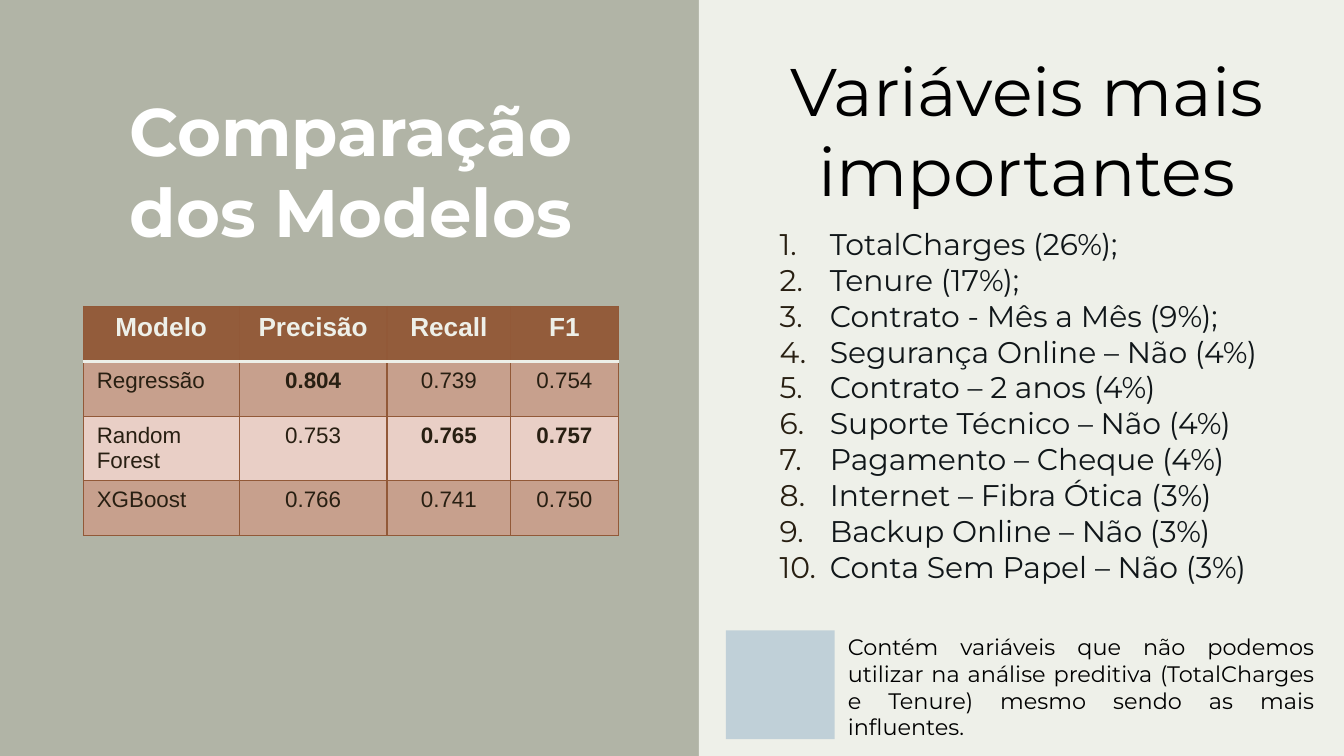
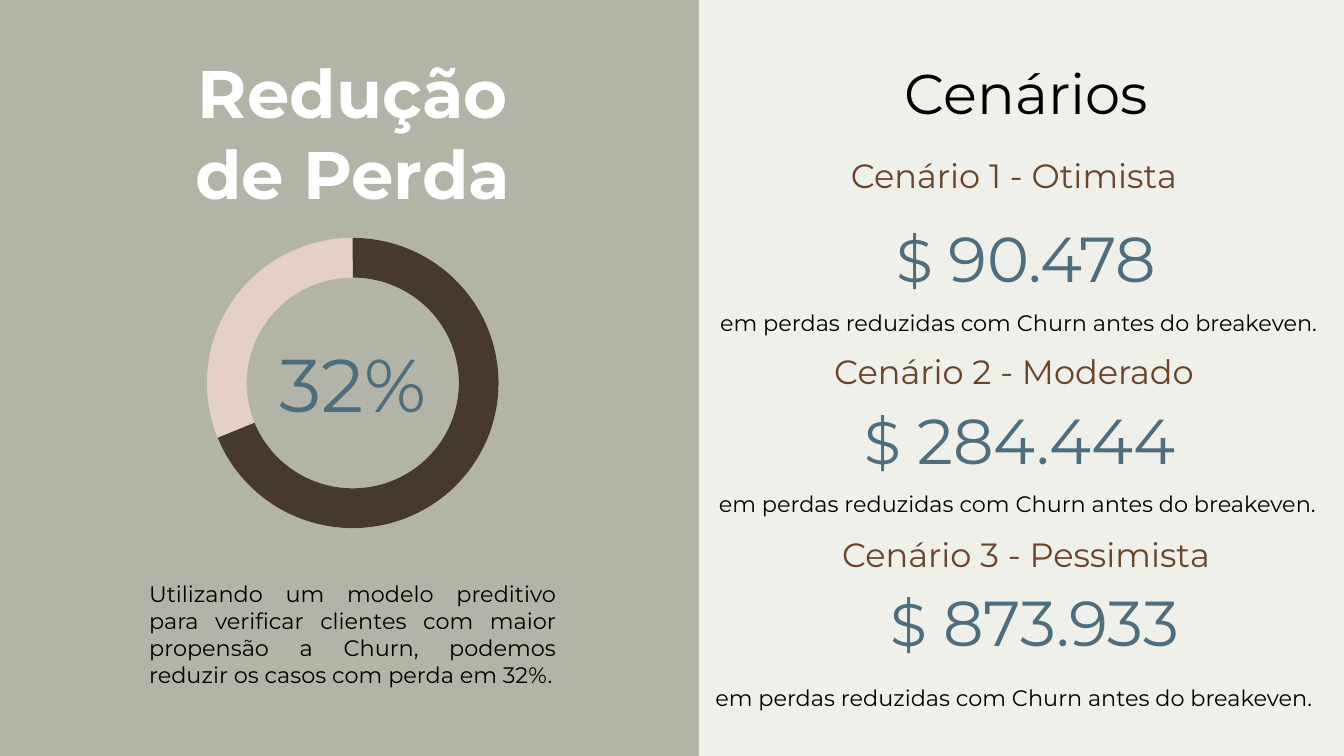
"""Builds two split-panel slides: model comparison and loss reduction."""
from lxml import etree
from pptx import Presentation
from pptx.dml.color import RGBColor
from pptx.enum.shapes import MSO_SHAPE
from pptx.enum.text import MSO_ANCHOR, MSO_AUTO_SIZE, PP_ALIGN
from pptx.oxml.ns import qn
from pptx.util import Inches, Pt

CENTER, JUSTIFY, LEFT = PP_ALIGN.CENTER, PP_ALIGN.JUSTIFY, PP_ALIGN.LEFT
TOP, MIDDLE = MSO_ANCHOR.TOP, MSO_ANCHOR.MIDDLE
RECTANGLE, DONUT, ARC = MSO_SHAPE.RECTANGLE, MSO_SHAPE.DONUT, MSO_SHAPE.BLOCK_ARC

WIDTH = 10
HEIGHT = WIDTH * 9 / 16
PANEL_LEFT = 0.52 * WIDTH
SAGE, CREAM, WHITE, BLACK = "B1B4A6", "EEF0E9", "FFFFFF", "000000"
BROWN, DARK, INK, STEEL = "935C3B", "281F12", "101619", "4E6E7E"
ROSE, UMBER, SKY, RUST = "E4CFCB", "48392E", "C0D0D8", "6B432A"
BORDER, BANDS = "925938", ("C7A08D", "E9CFC6")
HEADING_FONT, TABLE_FONT = "Montserrat", "Arial"

TITLE = dict(size=36, color=WHITE, bold=True, align=CENTER, anchor=MIDDLE)
HEADING = dict(size=36, color=BLACK, align=CENTER, anchor=MIDDLE)
NOTE = dict(size=12, color=BLACK, align=JUSTIFY, anchor=TOP)
LIST = dict(size=16, color=INK, align=JUSTIFY, anchor=TOP)
AMOUNT = dict(size=32, color=STEEL, align=CENTER, anchor=MIDDLE)
SCENARIO = dict(size=18, color=RUST, align=CENTER, anchor=MIDDLE)

MODELS = [
    ("Modelo", "Precisão", "Recall", "F1"),
    ("Regressão", "0.804", "0.739", "0.754"),
    ("Random\nForest", "0.753", "0.765", "0.757"),
    ("XGBoost", "0.766", "0.741", "0.750"),
]
BEST = {"0.804", "0.765", "0.757"}
COLUMN_WIDTHS, ROW_HEIGHT = (1.16, 1.1, 0.92, 0.8), 0.41

VARIABLES = [
    "TotalCharges (26%);",
    "Tenure (17%);",
    "Contrato - Mês a Mês (9%);",
    "Segurança Online – Não (4%)",
    "Contrato – 2 anos (4%)",
    "Suporte Técnico – Não (4%)",
    "Pagamento – Cheque (4%)",
    "Internet – Fibra Ótica (3%)",
    "Backup Online – Não (3%)",
    "Conta Sem Papel – Não (3%)",
]
WARNING = ("Contém variáveis que não podemos utilizar na análise preditiva "
           "(TotalCharges e Tenure) mesmo sendo as mais influentes.")
SUMMARY = ("Utilizando um modelo preditivo para verificar clientes com maior "
           "propensão a Churn, podemos reduzir os casos com perda em 32%.")
SCENARIO_NOTE = "em perdas reduzidas com Churn antes do breakeven."
SCENARIOS = [
    dict(name="Cenário 1 - Otimista", name_at=(5.82, 1.1), amount="90.478",
         amount_at=(6.39, 1.61, 2.49, 0.6), note_at=(5.26, 2.2), align=JUSTIFY),
    dict(name="Cenário 2 - Moderado", name_at=(5.82, 2.56), amount="284.444",
         amount_at=(6.3, 2.97, 2.58, 0.6), note_at=(5.25, 3.55), align=JUSTIFY),
    dict(name="Cenário 3 - Pessimista", name_at=(5.91, 3.92), amount="873.933",
         amount_at=(6.44, 4.32, 2.52, 0.6), note_at=(5.17, 4.99), align=CENTER),
]
RING_BOX, RING_THICKNESS = (1.54, 1.77, 2.17, 2.16), 0.137
ARC_START, ARC_END = 270, 157.93
ANGLE_UNIT = 0.6


def rgb(value):
    """Turn a hex string into a colour."""
    return RGBColor.from_string(value)


def inches(box):
    """Turn a box of numbers into lengths."""
    return [Inches(length) for length in box]


def style_run(run, size, color, bold=False, font=HEADING_FONT):
    """Format one run."""
    run.font.name, run.font.size, run.font.bold = font, Pt(size), bold
    run.font.color.rgb = rgb(color)


def write(shape, box, lines, size, color, align, anchor, bold=False):
    """Place a text shape and fill it with formatted paragraphs."""
    shape.left, shape.top, shape.width, shape.height = inches(box)
    frame = shape.text_frame
    frame.text = "\n".join(lines)
    frame.word_wrap, frame.auto_size = True, MSO_AUTO_SIZE.NONE
    frame.vertical_anchor = anchor
    frame.margin_left = frame.margin_right = Inches(0.1)
    frame.margin_top = frame.margin_bottom = Inches(0.1)
    for paragraph in frame.paragraphs:
        paragraph.alignment = align
        paragraph.space_before = Pt(0)
        for run in paragraph.runs:
            style_run(run, size, color, bold)
    return shape


def add_text(slide, box, text, style):
    """Add a text box in a named style."""
    return write(slide.shapes.add_textbox(*inches(box)), box, [text], **style)


def add_block(shapes, kind, box, color):
    """Add a flat shape without outline."""
    shape = shapes.add_shape(kind, *inches(box))
    shape.shadow.inherit = False
    shape.fill.solid()
    shape.fill.fore_color.rgb = rgb(color)
    shape.line.fill.background()
    return shape


def set_bullets(shape, numbered):
    """Number the paragraphs or clear their bullets."""
    for paragraph in shape.text_frame.paragraphs:
        properties = paragraph._p.get_or_add_pPr()
        indent = Pt(27) if numbered else 0
        properties.set("marL", str(indent))
        properties.set("indent", str(-indent))
        if numbered:
            color = etree.SubElement(properties, qn("a:buClr"))
            etree.SubElement(color, qn("a:srgbClr"), val=DARK)
            etree.SubElement(properties, qn("a:buAutoNum"), type="arabicPeriod")
        else:
            etree.SubElement(properties, qn("a:buNone"))


def set_borders(cell, header, below_header):
    """Draw the four borders of a cell."""
    properties = cell._tc.get_or_add_tcPr()
    for position, side in enumerate("LRTB"):
        rule = (header and side == "B") or (below_header and side == "T")
        color, width = (CREAM, 2) if rule else (BORDER, 0.75)
        line = etree.Element(qn(f"a:ln{side}"), w=str(Pt(width)))
        fill = etree.SubElement(line, qn("a:solidFill"))
        etree.SubElement(fill, qn("a:srgbClr"), val=color)
        properties.insert(position, line)


def add_model_table(slide):
    """Add the table of model scores."""
    box = (0.62, 2.28, sum(COLUMN_WIDTHS), ROW_HEIGHT * len(MODELS))
    table = slide.shapes.add_table(
        len(MODELS), len(COLUMN_WIDTHS), *inches(box)).table
    for column, width in zip(table.columns, COLUMN_WIDTHS):
        column.width = Inches(width)
    for row, values in enumerate(MODELS):
        table.rows[row].height = Inches(ROW_HEIGHT)
        header = row == 0
        for column, value in enumerate(values):
            cell = table.cell(row, column)
            cell.text_frame.text = value
            cell.fill.solid()
            cell.fill.fore_color.rgb = rgb(BROWN if header else BANDS[(row - 1) % 2])
            set_borders(cell, header, row == 1)
            for paragraph in cell.text_frame.paragraphs:
                paragraph.alignment = CENTER if header or column else LEFT
                for run in paragraph.runs:
                    style_run(run, 14 if header else 12, CREAM if header else DARK,
                              header or value in BEST, TABLE_FONT)


def add_split_slide(presentation, title, title_box, body, body_box, body_style,
                    numbered=False):
    """Add a slide with the cream panel, the title and the body."""
    slide = presentation.slides.add_slide(presentation.slide_layouts[1])
    panel_box = (PANEL_LEFT, 0, WIDTH - PANEL_LEFT, HEIGHT)
    panel = add_block(slide.shapes, RECTANGLE, panel_box, CREAM)
    slide.shapes.title.element.addprevious(panel.element)
    write(slide.shapes.title, title_box, [title], **TITLE)
    set_bullets(write(slide.placeholders[1], body_box, body, **body_style), numbered)
    return slide


def build_models(presentation):
    """Build the model comparison slide."""
    slide = add_split_slide(
        presentation, "Comparação dos Modelos", (0.62, 0.65, 3.98, 1.23),
        VARIABLES, (5.7, 1.58, 3.89, 2.95), LIST, numbered=True)
    add_text(slide, (5.57, 0.35, 4.14, 1.23), "Variáveis mais importantes", HEADING)
    add_model_table(slide)
    add_text(slide, (6.21, 4.61, 3.67, 0.95), WARNING, NOTE)
    add_block(slide.shapes, RECTANGLE, (5.4, 4.69, 0.81, 0.81), SKY)


def build_reduction(presentation):
    """Build the loss reduction slide."""
    slide = add_split_slide(
        presentation, "Redução de Perda", (1.29, 0.37, 2.67, 1.23),
        [SUMMARY], (1.01, 4.22, 3.23, 0.59), NOTE)
    ring = slide.shapes.add_group_shape().shapes
    add_block(ring, DONUT, RING_BOX, ROSE).adjustments[0] = RING_THICKNESS
    arc = add_block(ring, ARC, RING_BOX, UMBER)
    arc.adjustments[0] = ARC_START * ANGLE_UNIT
    arc.adjustments[1] = ARC_END * ANGLE_UNIT
    arc.adjustments[2] = RING_THICKNESS
    add_text(slide, (1.38, 2.55, 2.49, 0.6), "32%", {**AMOUNT, "size": 40})
    add_text(slide, (5.91, 0.07, 3.45, 1.23), "Cenários", {**HEADING, "size": 30})
    for scenario in SCENARIOS:
        add_text(slide, (*scenario["name_at"], 3.45, 0.4), scenario["name"], SCENARIO)
        amount = add_text(slide, scenario["amount_at"], "$ ", AMOUNT)
        run = amount.text_frame.paragraphs[0].add_run()
        run.text = scenario["amount"]
        style_run(run, 34, STEEL)
        add_text(slide, (*scenario["note_at"], 4.75, 0.34), SCENARIO_NOTE,
                 {**NOTE, "align": scenario["align"]})


def main():
    """Build and save the presentation."""
    presentation = Presentation()
    presentation.slide_width, presentation.slide_height = inches((WIDTH, HEIGHT))
    background = presentation.slide_master.background.fill
    background.solid()
    background.fore_color.rgb = rgb(SAGE)
    build_models(presentation)
    build_reduction(presentation)
    presentation.save("out.pptx")


if __name__ == "__main__":
    main()
